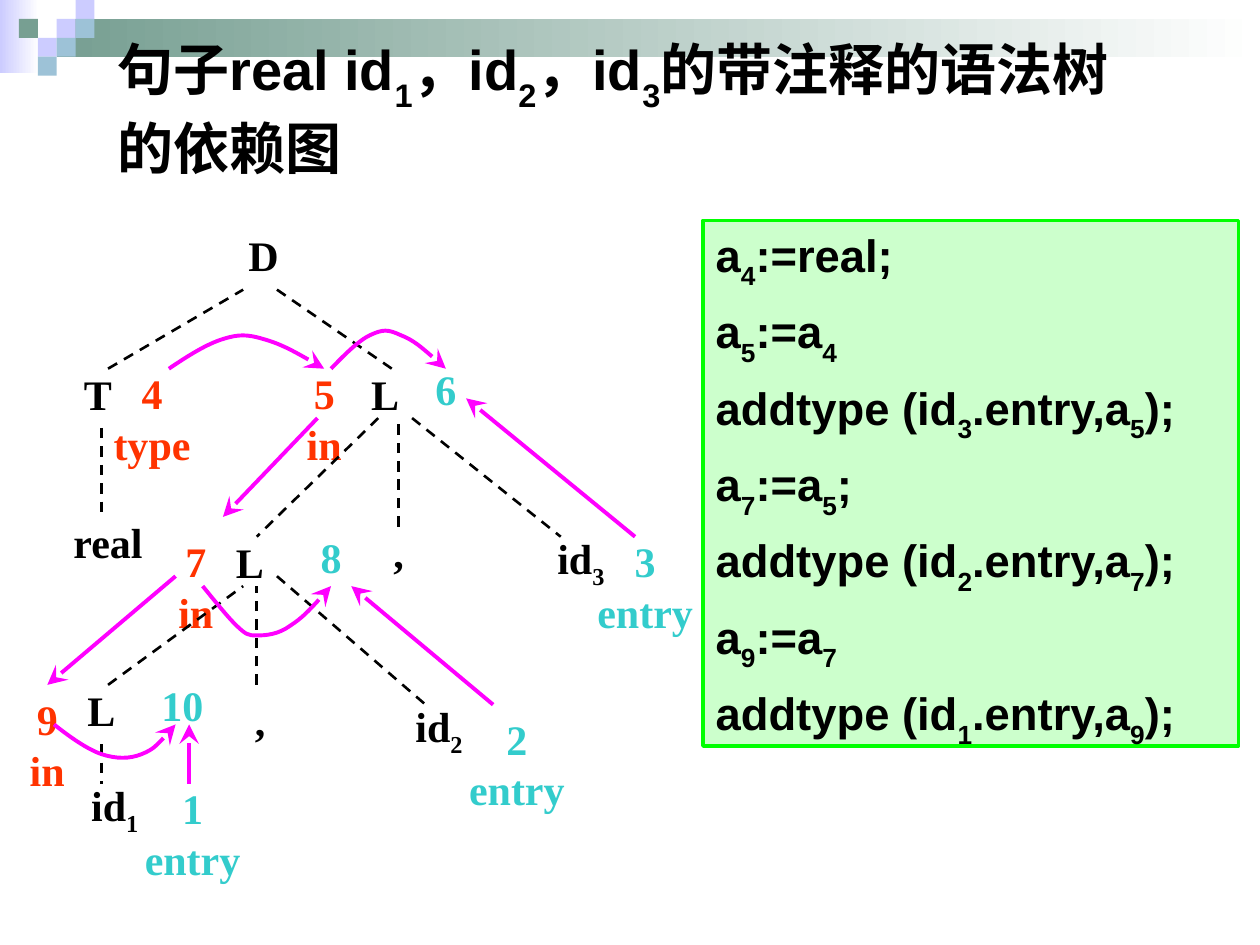
from pptx import Presentation, util as u
from pptx.dml.color import RGBColor
from pptx.enum import dml, shapes, text
from pptx.oxml.ns import qn
from pptx.oxml.xmlchemy import OxmlElement

C = {"black": "000000", "white": "FFFFFF", "red": "FF3300", "teal": "33CCCC",
     "pink": "FF00FF", "lilac": "CCCCFF", "sage": "779F92", "sky": "9DC2D7",
     "mint": "CCFFCC", "green": "00FF00"}

TITLE = "句子real id_1，id_2，id_3的带注释的语法树的依赖图"
RULES = ["a_4:=real;", "a_5:=a_4", "addtype (id_3.entry,a_5);", "a_7:=a_5;",
         "addtype (id_2.entry,a_7);", "a_9:=a_7", "addtype (id_1.entry,a_9);"]

BANDS = [(0, 0, 0.31, 0.58, "lilac"), (0.45, 0.15, 9.55, 0.3, "sage")]
SQUARES = [(3, 1, "lilac"), (4, 0, "lilac"), (4, 1, "sky"), (2, 2, "lilac"),
           (1, 1, "sage"), (3, 2, "sky"), (2, 3, "sky")]

LABELS = [
    ("id_1", 2, 56, 30, 7, "black"), ("L", 0, 46, 30, 7, "black"),
    (",", 35, 47, 7, 7, "black"), ("id_2", 50, 48, 30, 7, "black"),
    ("L", 25, 31, 24, 7, "black"), (",", 53, 30, 12, 7, "black"),
    ("id_3", 71, 31, 30, 7, "black"), ("L", 42, 14, 30, 7, "black"),
    ("real", 1, 29, 30, 7, "black"), ("T", 1, 14, 27, 7, "black"),
    ("D", 33, 0, 12, 7, "black"),
    ("4\ntype", 14.5, 14, 16, 12, "red"), ("5\nin", 43, 15, 10, 10, "red"),
    ("6", 61, 14, 10, 6, "teal"), ("7\nin", 24, 32, 10, 10, "red"),
    ("8", 44, 31, 10, 6, "teal"), ("9\nin", 2, 48, 10, 10, "red"),
    ("10", 22, 46, 10, 6, "teal"), ("1\nentry", 20.5, 56, 16, 12, "teal"),
    ("2\nentry", 68.5, 49, 16, 12, "teal"), ("3\nentry", 87.5, 31, 16, 12, "teal"),
]
BRANCHES = [(15, 53, 15, 57), (16, 47, 36, 37), (38, 47, 38, 37), (41, 36, 63, 49),
            (56, 20, 38, 32), (59, 31, 59, 20), (61, 20, 83, 32), (16, 15, 36, 7),
            (41, 7, 58, 15), (15, 21, 15, 30)]
ARROWS = [(94, 32, 69, 18), (47, 20, 33, 30), (73, 49, 52, 37), (26, 36, 7, 47),
          (28, 57, 28, 51)]
CURVES = [
    [(25, 15), (27.8, 13.7), (30.6, 12.5), (33, 12), (35.3, 11.5), (36.6, 11.5),
     (39, 12), (41.6, 12.5), (44.8, 13.7), (48, 15)],
    [(49, 15), (51.1, 13.5), (53.2, 12.1), (54.8, 11.6), (56.7, 11), (57.4, 11),
     (59.3, 11.6), (61.2, 12.1), (63.6, 13.5), (66, 15)],
    [(30, 37), (31.9, 38.6), (33.8, 40.2), (35, 41), (36.4, 41.9), (36.7, 42),
     (38, 42), (39.4, 42), (41.2, 41.9), (43, 41), (44.8, 40.2), (47, 38.6), (49, 37)],
    [(8, 51), (10.4, 52.3), (12.9, 53.5), (15, 54), (17.2, 54.5), (19.2, 54.5),
     (21, 54), (22.8, 53.5), (24.4, 52.3), (26, 51)],
]

TOP, COL, ROW, SQUARE = 1.75, 5.04 / 94, 4.47 / 57, 0.15
TREE = {"name": "Times New Roman", "size": u.Pt(24), "bold": True}
HEAD = {"name": "Arial", "size": u.Pt(32), "bold": True}
CODE = {"name": "Arial", "size": u.Pt(25.9), "bold": True}
LABEL_FRAME = {"word_wrap": False, "vertical_anchor": text.MSO_ANCHOR.MIDDLE,
               "margin_left": 0, "margin_right": 0}
HEAD_FRAME = {"auto_size": text.MSO_AUTO_SIZE.NONE,
              "vertical_anchor": text.MSO_ANCHOR.MIDDLE}
ARROWHEAD = {"type": "stealth", "w": "lg", "len": "lg"}


def rgb(name):
    return RGBColor.from_string(C[name])


def grid(x, y):
    return u.Inches(x * COL), u.Inches(TOP + y * ROW)


def apply(target, values):
    for key, value in values.items():
        setattr(target, key, value)


def place(sp, *box):
    apply(sp, dict(zip(("left", "top", "width", "height"), map(u.Inches, box))))


def write(p, content, fmt, color, drop):
    for i, part in enumerate(content.split("_")):
        pieces = [(part, 0)] if i == 0 else [(part[0], drop), (part[1:], 0)]
        for words, base in pieces:
            if words:
                r = p.add_run()
                r.text = words
                apply(r.font, fmt)
                r.font.color.rgb = rgb(color)
                if base:
                    r.font._element.set("baseline", str(base * 1000))


def add_block(s, x, y, w, h, color, fade=False):
    sp = s.shapes.add_shape(shapes.MSO_SHAPE.RECTANGLE, *map(u.Inches, (x, y, w, h)))
    sp.shadow.inherit = False
    sp.line.fill.background()
    if fade:
        sp.fill.gradient()
        sp.fill.gradient_angle = 0
        for stop, name in zip(sp.fill.gradient_stops, (color, "white")):
            stop.color.rgb = rgb(name)
    else:
        sp.fill.solid()
        sp.fill.fore_color.rgb = rgb(color)


def style_line(sp, color, width, arrow):
    sp.line.color.rgb = rgb(color)
    sp.line.width = u.Pt(width)
    if arrow:
        tail = OxmlElement("a:tailEnd")
        for key, value in ARROWHEAD.items():
            tail.set(key, value)
        sp.line._get_or_add_ln().append(tail)
    else:
        sp.line.dash_style = dml.MSO_LINE.DASH


def add_line(s, x1, y1, x2, y2, *style):
    sp = s.shapes.add_connector(shapes.MSO_CONNECTOR.STRAIGHT, *grid(x1, y1), *grid(x2, y2))
    style_line(sp, *style)
    sp._element.spPr.append(OxmlElement("a:effectLst"))


def add_curve(s, points):
    start, *rest = [grid(*point) for point in points]
    builder = s.shapes.build_freeform(*start)
    builder.add_line_segments(rest, close=False)
    sp = builder.convert_to_shape()
    segments = list(sp._element.iter(qn("a:lnTo")))
    for i in range(0, len(segments), 3):
        bezier = OxmlElement("a:cubicBezTo")
        segments[i].addprevious(bezier)
        for segment in segments[i:i + 3]:
            bezier.append(segment[0])
            segment.getparent().remove(segment)
    sp.fill.background()
    sp.shadow.inherit = False
    style_line(sp, "pink", 2.25, True)


def add_label(s, content, x, y, w, h, color):
    sp = s.shapes.add_textbox(*grid(x, y), u.Inches(w * COL), u.Inches(h * ROW))
    tf = sp.text_frame
    apply(tf, LABEL_FRAME)
    for i, words in enumerate(content.split("\n")):
        p = tf.add_paragraph() if i else tf.paragraphs[0]
        p.alignment = text.PP_ALIGN.CENTER
        write(p, words, TREE, color, -25)


def fill_title(sp):
    place(sp, 0.83, 0.25, 8.5, 1.21)
    tf = sp.text_frame
    apply(tf, HEAD_FRAME)
    tf.paragraphs[0].alignment = text.PP_ALIGN.LEFT
    write(tf.paragraphs[0], TITLE, HEAD, "black", -30)


def fill_rules(sp):
    place(sp, 5.58, TOP, 4.25, 4.17)
    sp.fill.solid()
    sp.fill.fore_color.rgb = rgb("mint")
    sp.line.color.rgb = rgb("green")
    sp.line.width = u.Pt(2.25)
    tf = sp.text_frame
    tf.auto_size = text.MSO_AUTO_SIZE.NONE
    for i, rule in enumerate(RULES):
        p = tf.add_paragraph() if i else tf.paragraphs[0]
        pPr = p._p.get_or_add_pPr()
        pPr.set("marL", str(u.Inches(0.38)))
        pPr.set("indent", str(-u.Inches(0.38)))
        pPr.append(OxmlElement("a:buNone"))
        p.space_before = u.Pt(7 if i else 0)
        write(p, rule, CODE, "black", -30)


def main():
    prs = Presentation()
    prs.slide_width, prs.slide_height = u.Inches(10), u.Inches(7.5)
    s = prs.slides.add_slide(prs.slide_layouts[1])
    title, body = s.placeholders
    for band in BANDS:
        add_block(s, *band, fade=True)
    for col, row, color in SQUARES:
        add_block(s, col * SQUARE, row * SQUARE, SQUARE, SQUARE, color)
    s.shapes._spTree.append(title._element)
    fill_title(title)
    for label in LABELS:
        add_label(s, *label)
    for branch in BRANCHES:
        add_line(s, *branch, "black", 1.5, False)
    for arrow in ARROWS:
        add_line(s, *arrow, "pink", 2.25, True)
    for curve in CURVES:
        add_curve(s, curve)
    s.shapes._spTree.append(body._element)
    fill_rules(body)
    prs.save("out.pptx")


if __name__ == "__main__":
    main()
